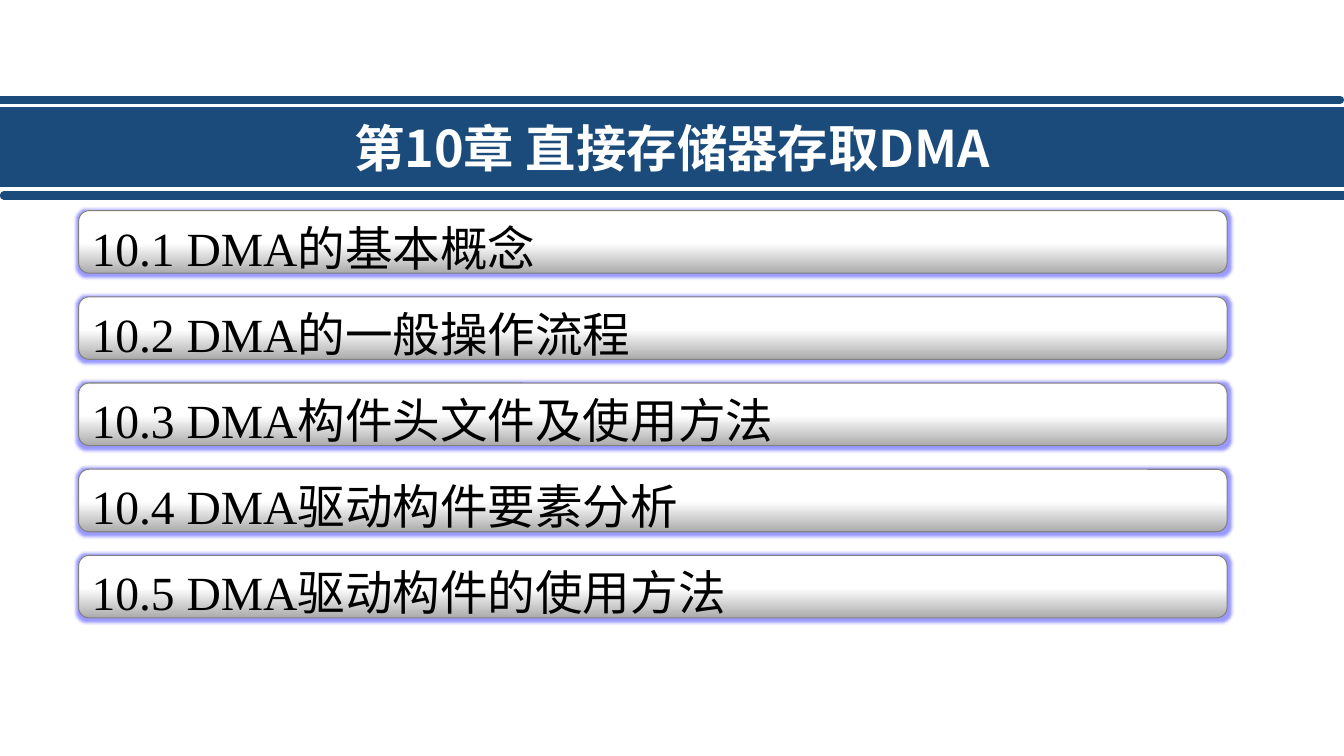
"""Builds the contents slide of the chapter on direct memory access."""
from dataclasses import dataclass

from lxml import etree
from pptx import Presentation
from pptx.dml.color import RGBColor
from pptx.enum.shapes import MSO_CONNECTOR, MSO_SHAPE
from pptx.enum.text import MSO_ANCHOR, PP_ALIGN
from pptx.oxml.ns import qn
from pptx.util import Inches, Pt

STRAIGHT = MSO_CONNECTOR.STRAIGHT
ROUNDED = MSO_SHAPE.ROUNDED_RECTANGLE
MIDDLE, TOP = MSO_ANCHOR.MIDDLE, MSO_ANCHOR.TOP
CENTER, LEFT = PP_ALIGN.CENTER, PP_ALIGN.LEFT


@dataclass(frozen=True)
class Theme:
    """Colours, fonts and type sizes of the slide."""

    navy: RGBColor = RGBColor(0x1B, 0x4B, 0x7B)
    white: RGBColor = RGBColor(0xFF, 0xFF, 0xFF)
    black: RGBColor = RGBColor(0, 0, 0)
    silver: RGBColor = RGBColor(0xAB, 0xAB, 0xAB)
    gray: RGBColor = RGBColor(0x80, 0x80, 0x80)
    glow: str = "0000FF"
    sans: str = "Noto Sans CJK SC"
    serif: str = "Times New Roman"
    title_size: Pt = Pt(36)
    section_size: Pt = Pt(34)


THEME = Theme()


def write_text(shape, text, align, color, **font_format):
    """Puts one formatted line of text into a shape."""
    para = shape.text_frame.paragraphs[0]
    para.alignment = align
    span = para.add_run()
    span.text = text
    for name, value in font_format.items():
        setattr(span.font, name, value)
    span.font.color.rgb = color
    east_asian = etree.SubElement(span.font._element, qn("a:ea"))
    east_asian.set("typeface", THEME.sans)


deck = Presentation()
deck.slide_width, deck.slide_height = Inches(13.33), Inches(7.5)
page = deck.slides.add_slide(deck.slide_layouts[5])

title = page.shapes.title
title_format = {"left": 0, "top": Inches(1.08), "width": Inches(13.33), "height": Inches(0.76)}
for name, value in title_format.items():
    setattr(title, name, value)
title.fill.solid()
title.fill.fore_color.rgb = THEME.navy
title.line.color.rgb = THEME.navy
title.line.width = Pt(2)
title.text_frame.vertical_anchor = MIDDLE
write_text(title, "第10章 直接存储器存取DMA", CENTER, THEME.white,
           name=THEME.sans, size=THEME.title_size, bold=True)

for start, end, height in [(0.04, 13.33, 1.94), (0, 13.29, 0.99)]:
    rule = page.shapes.add_connector(
        STRAIGHT, Inches(start), Inches(height), Inches(end), Inches(height))
    rule.line.color.rgb = THEME.navy
    rule.line.width = Pt(6)
    rule.line._ln.set("cap", "rnd")
    etree.SubElement(rule._element.spPr, qn("a:effectLst"))

sections = [
    "10.1 DMA的基本概念",
    "10.2 DMA的一般操作流程",
    "10.3 DMA构件头文件及使用方法",
    "10.4 DMA驱动构件要素分析",
    "10.5 DMA驱动构件的使用方法",
]
first_top, pitch = 2.09, 0.855
for index, section in enumerate(sections):
    bar = page.shapes.add_shape(
        ROUNDED, Inches(0.78), Inches(first_top + index * pitch), Inches(11.39), Inches(0.62))
    bar.fill.gradient()
    bar.fill.gradient_angle = 90
    stops = [(0, THEME.silver), (0.48, THEME.white)]
    for stop, (position, color) in zip(bar.fill.gradient_stops, stops):
        stop.position = position
        stop.color.rgb = color
    bar.line.color.rgb = THEME.gray
    bar.line.width = Pt(0.75)
    bar.shadow.inherit = False
    effects = bar._element.spPr.find(qn("a:effectLst"))
    glow = etree.SubElement(effects, qn("a:glow"), rad=str(Pt(5)))
    glow_color = etree.SubElement(glow, qn("a:srgbClr"), val=THEME.glow)
    etree.SubElement(glow_color, qn("a:alpha"), val="40000")
    bar.text_frame.word_wrap = False
    bar.text_frame.vertical_anchor = TOP
    write_text(bar, section, LEFT, THEME.black,
               name=THEME.serif, size=THEME.section_size)

deck.save("out.pptx")
